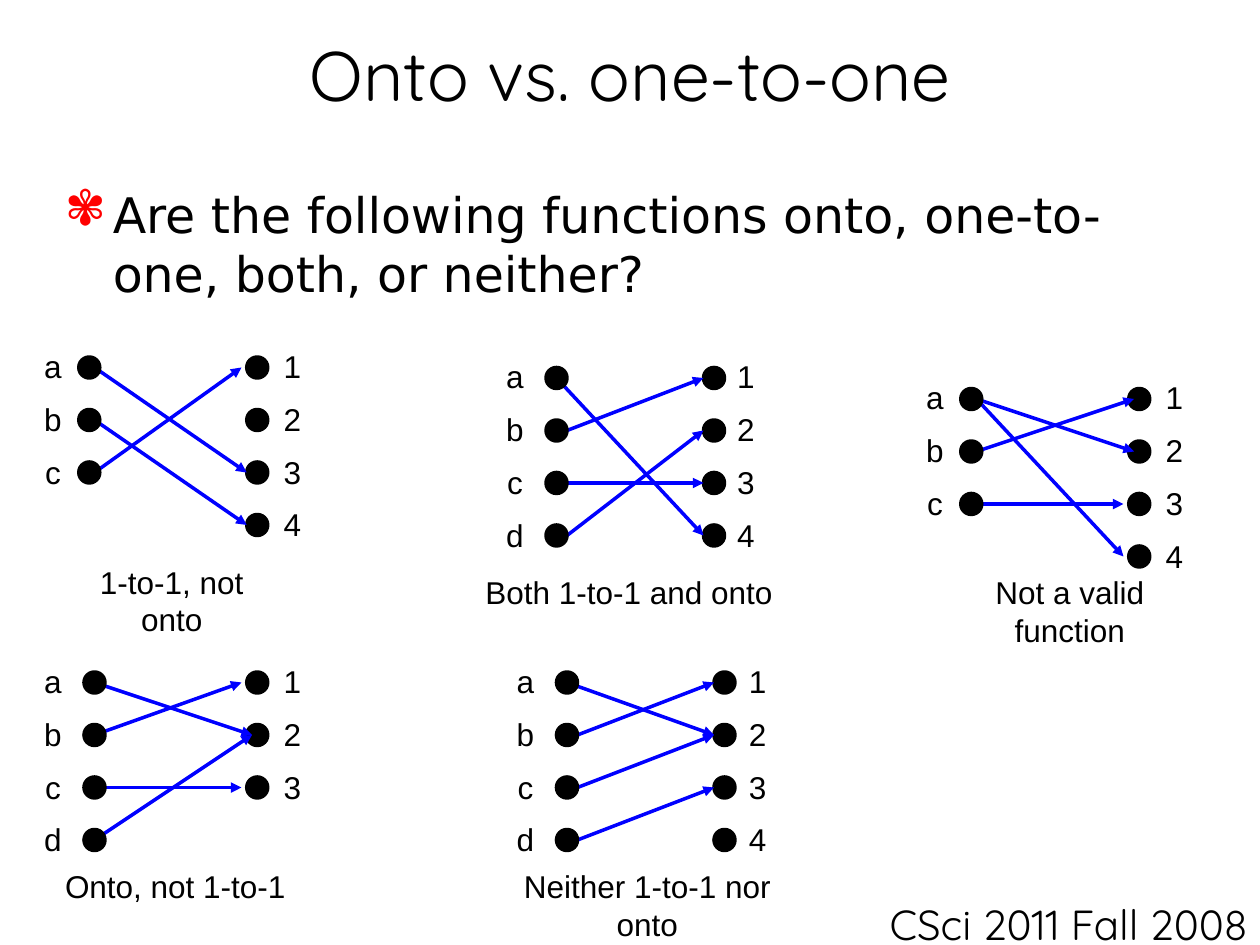
from collections import namedtuple

from lxml.etree import SubElement
from pptx import Presentation
from pptx.dml.color import RGBColor
from pptx.enum.shapes import MSO_CONNECTOR as Connector, MSO_SHAPE as Shape
from pptx.enum.text import MSO_ANCHOR as Anchor, MSO_AUTO_SIZE as AutoSize, PP_ALIGN as Align
from pptx.oxml.ns import qn
from pptx.util import Inches, Pt

BLACK = RGBColor(0, 0, 0)
BLUE = RGBColor(0, 0, 255)
RED = RGBColor(255, 0, 0)
COLUMNS, ROWS = 120, 90
ROW_STEP, DOT, LABEL_WIDTH = 5, 2, 4.1

Mapping = namedtuple("Mapping", "first_row letters_at left_dots right_dots numbers_at letters numbers arrows")
Caption = namedtuple("Caption", "text column row width")

MAPPINGS = [
    Mapping(35, 3, 7.5, 23.5, 25.8, "abc", "1234",
            [(1, 3, 9, 23.5), (0, 2, 9, 23.5), (2, 0, 9, 23)]),
    Mapping(65, 3, 8, 23.5, 25.8, "abcd", "123",
            [(1, 0, 9, 23), (0, 1, 9, 24), (2, 2, 9, 23), (3, 1, 9, 24)]),
    Mapping(36, 47, 52, 67, 69, "abcd", "1234",
            [(2, 2, 54, 67), (0, 3, 53, 67), (3, 1, 54, 67), (1, 0, 54, 67)]),
    Mapping(65, 48, 53, 68, 70.1, "abcd", "1234",
            [(2, 1, 55, 68), (0, 1, 54, 68), (3, 2, 55, 68), (1, 0, 55, 68)]),
    Mapping(38, 87, 91.5, 107.5, 109.8, "abc", "1234",
            [(1, 0, 93, 108), (0, 1, 93, 108), (2, 2, 93, 107), (0, 3, 93, 107)]),
]
CAPTIONS = [
    Caption("1-to-1, not onto", 5, 53, 22.7),
    Caption("Onto, not 1-to-1", 5, 82, 23.4),
    Caption("Both 1-to-1 and onto", 45, 54, 29.8),
    Caption("Not a valid function", 88, 54, 27.8),
    Caption("Neither 1-to-1 nor onto", 45.4, 82, 32.5),
]


def grid(*cells):
    """Turn grid cells, twelve to the inch, into lengths."""
    return [Inches(cell / 12) for cell in cells]


def add_text(shapes, area, lines, size, font="Arial", align=Align.CENTER, spacing=None, wrap=False):
    """Add a text box with one paragraph per line."""
    box = shapes.add_textbox(*grid(*area))
    frame = box.text_frame
    frame.word_wrap = wrap
    frame.auto_size = AutoSize.NONE if wrap else AutoSize.SHAPE_TO_FIT_TEXT
    for index, line in enumerate(lines):
        para = frame.add_paragraph() if index else frame.paragraphs[0]
        para.alignment = align
        para.line_spacing = spacing
        span = para.add_run()
        span.text = line
        span.font.size = Pt(size)
        span.font.name = font
        span.font.color.rgb = BLACK
    return frame


def add_bullet(para, symbol, indent):
    """Give a paragraph a red bullet and a hanging indent."""
    props = para._p.get_or_add_pPr()
    props.set("marL", str(indent))
    props.set("indent", str(-indent))
    color = SubElement(props, qn("a:buClr"))
    SubElement(color, qn("a:srgbClr"), val=str(RED))
    SubElement(props, qn("a:buChar"), char=symbol)


def add_dots(shapes, column, first_row, count):
    """Add a column of round points."""
    for index in range(count):
        top = first_row + index * ROW_STEP - DOT / 2
        dot = shapes.add_shape(Shape.OVAL, *grid(column, top, DOT, DOT))
        dot.shadow.inherit = False
        dot.fill.solid()
        dot.fill.fore_color.rgb = BLACK
        dot.line.color.rgb = BLACK
        dot.line.width = Pt(2)


def add_labels(shapes, column, first_row, names):
    """Add the names that stand beside a column of points."""
    area = (column, first_row - 4, LABEL_WIDTH, len(names) * ROW_STEP + 1.3)
    add_text(shapes, area, names, 18, spacing=1.4)


def add_arrow(shapes, start, end):
    """Add a blue arrow between two grid points."""
    arrow = shapes.add_connector(Connector.STRAIGHT, *grid(*start, *end))
    arrow.line.color.rgb = BLUE
    arrow.line.width = Pt(2)
    SubElement(arrow.line._get_or_add_ln(), qn("a:tailEnd"), type="triangle")
    SubElement(arrow._element.spPr, qn("a:effectLst"))


def add_mapping(page, mapping):
    """Add one diagram of a mapping from letters to numbers."""
    shapes = page.shapes.add_group_shape().shapes
    first = mapping.first_row
    add_dots(shapes, mapping.right_dots, first, len(mapping.numbers))
    add_labels(shapes, mapping.numbers_at, first, mapping.numbers)
    add_labels(shapes, mapping.letters_at, first, mapping.letters)
    for source, target, start, end in mapping.arrows:
        add_arrow(shapes, (start, first + source * ROW_STEP), (end, first + target * ROW_STEP))
    add_dots(shapes, mapping.left_dots, first, len(mapping.letters))


def main():
    """Build the slide and save it."""
    deck = Presentation()
    deck.slide_width, deck.slide_height = grid(COLUMNS, ROWS)
    page = deck.slides.add_slide(deck.slide_layouts[6])
    add_text(page.shapes, (79, 85, 41, 5), ["CSci 2011 Fall 2008"], 24, "Quicksand", Align.RIGHT, wrap=True)
    title = add_text(page.shapes, (3, 2, 114, 10), ["Onto vs. one-to-one"], 40, "Quicksand", wrap=True)
    title.vertical_anchor = Anchor.MIDDLE
    question = add_text(page.shapes, (5, 17, 110, 14.4),
                        ["Are the following functions onto, one-to-one, both, or neither?"],
                        28, "DejaVu Sans", Align.LEFT, wrap=True)
    add_bullet(question.paragraphs[0], "✾", Inches(0.38))
    for mapping in MAPPINGS:
        add_mapping(page, mapping)
    for caption in CAPTIONS:
        area = (caption.column, caption.row, caption.width, 4.8)
        add_text(page.shapes, area, [caption.text], 18)
    deck.save("out.pptx")


if __name__ == "__main__":
    main()
